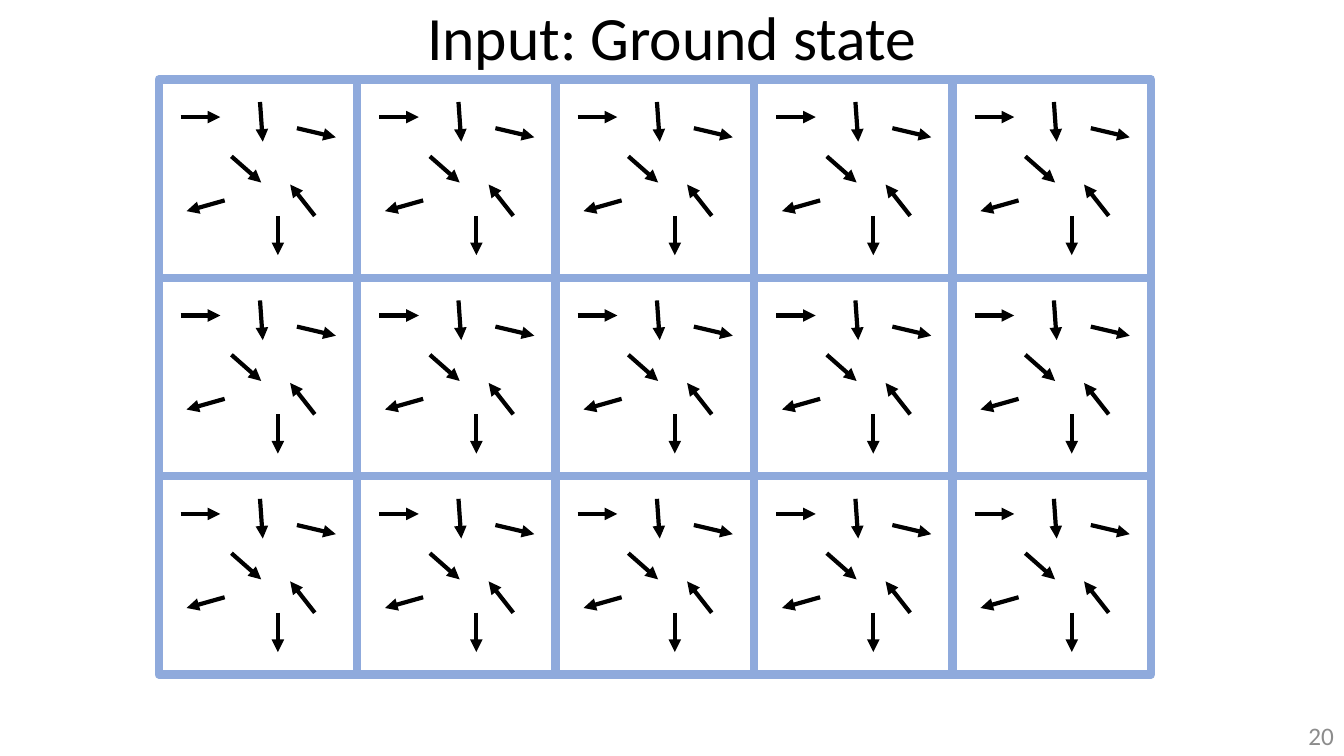
from itertools import product

from lxml.etree import SubElement
from pptx import Presentation
from pptx.dml.color import RGBColor
from pptx.enum.shapes import MSO_CONNECTOR as CONNECTOR, MSO_SHAPE as SHAPE
from pptx.enum.text import MSO_ANCHOR as ANCHOR, MSO_AUTO_SIZE as AUTO_SIZE, PP_ALIGN as ALIGN
from pptx.oxml.ns import qn
from pptx.util import Cm, Inches, Pt

BLACK = RGBColor(0x00, 0x00, 0x00)
GRAY = RGBColor(0x8C, 0x8C, 0x8C)
BLUE = RGBColor(0x8F, 0xAA, 0xDC)

COLUMNS, ROWS = 5, 3
CELL = 5
LATTICE_LEFT, LATTICE_TOP = 4, 2

# Start and end of each spin, measured from the corner of its cell
SPINS = [
    ((0.55, 0.95), (1.55, 0.95)),
    ((3.48, 1.23), (4.46, 1.46)),
    ((1.66, 3.05), (0.7, 3.32)),
    ((1.83, 1.94), (2.58, 2.6)),
    ((3, 3.44), (3, 4.43)),
    ((3.93, 3.44), (3.31, 2.65)),
    ((2.55, 0.57), (2.62, 1.57)),
]


class GridSlide:
    """A slide laid out on a grid whose columns and rows are 1 cm apart."""

    font = "Calibri"

    def __init__(self, deck):
        self.width, self.height = deck.slide_width, deck.slide_height
        self.slide = deck.slides.add_slide(deck.slide_layouts[5])

    def set_text(self, box, text, size, color, align, anchor):
        frame = box.text_frame
        frame.text = text
        frame.word_wrap = True
        frame.auto_size = AUTO_SIZE.NONE
        frame.vertical_anchor = anchor
        paragraph = frame.paragraphs[0]
        paragraph.alignment = align
        font = paragraph.runs[0].font
        font.name, font.size, font.color.rgb = self.font, Pt(size), color
        return paragraph

    def title(self, text, rows):
        heading = self.slide.shapes.title
        heading.left, heading.top = 0, 0
        heading.width, heading.height = self.width, Cm(rows)
        paragraph = self.set_text(heading, text, 44, BLACK, ALIGN.CENTER, ANCHOR.BOTTOM)
        paragraph.line_spacing = 0.9

    def page_number(self, text, columns, rows):
        """Place the number in the bottom right corner of the slide."""
        width, height = Cm(columns), Cm(rows)
        box = self.slide.shapes.add_textbox(
            self.width - width, self.height - height, width, height)
        self.set_text(box, text, 18, GRAY, ALIGN.RIGHT, ANCHOR.MIDDLE)

    def arrow(self, shapes, start, end):
        spin = shapes.add_connector(CONNECTOR.STRAIGHT, *map(Cm, start + end))
        spin.line.color.rgb = BLACK
        spin.line.width = Pt(3)
        properties = spin._element.spPr
        SubElement(properties.find(qn("a:ln")), qn("a:tailEnd"), type="triangle")
        SubElement(properties, qn("a:effectLst"))

    def spin_cell(self, column, row):
        """Group a square cell with its spins, its corner at the grid point."""
        shapes = self.slide.shapes.add_group_shape().shapes
        square = shapes.add_shape(
            SHAPE.RECTANGLE, Cm(column), Cm(row), Cm(CELL), Cm(CELL))
        square.shadow.inherit = False
        square.fill.background()
        square.line.color.rgb = BLUE
        square.line.width = Pt(6)
        for spin in SPINS:
            start, end = [(column + x, row + y) for x, y in spin]
            self.arrow(shapes, start, end)


def main():
    deck = Presentation()
    deck.slide_width, deck.slide_height = Inches(13.33), Inches(7.5)
    ground_state = GridSlide(deck)
    ground_state.title("Input: Ground state", LATTICE_TOP)
    ground_state.page_number("20", 7.62, 1.02)
    for row, column in product(range(ROWS), range(COLUMNS)):
        ground_state.spin_cell(LATTICE_LEFT + column * CELL, LATTICE_TOP + row * CELL)
    deck.save("out.pptx")


if __name__ == "__main__":
    main()
